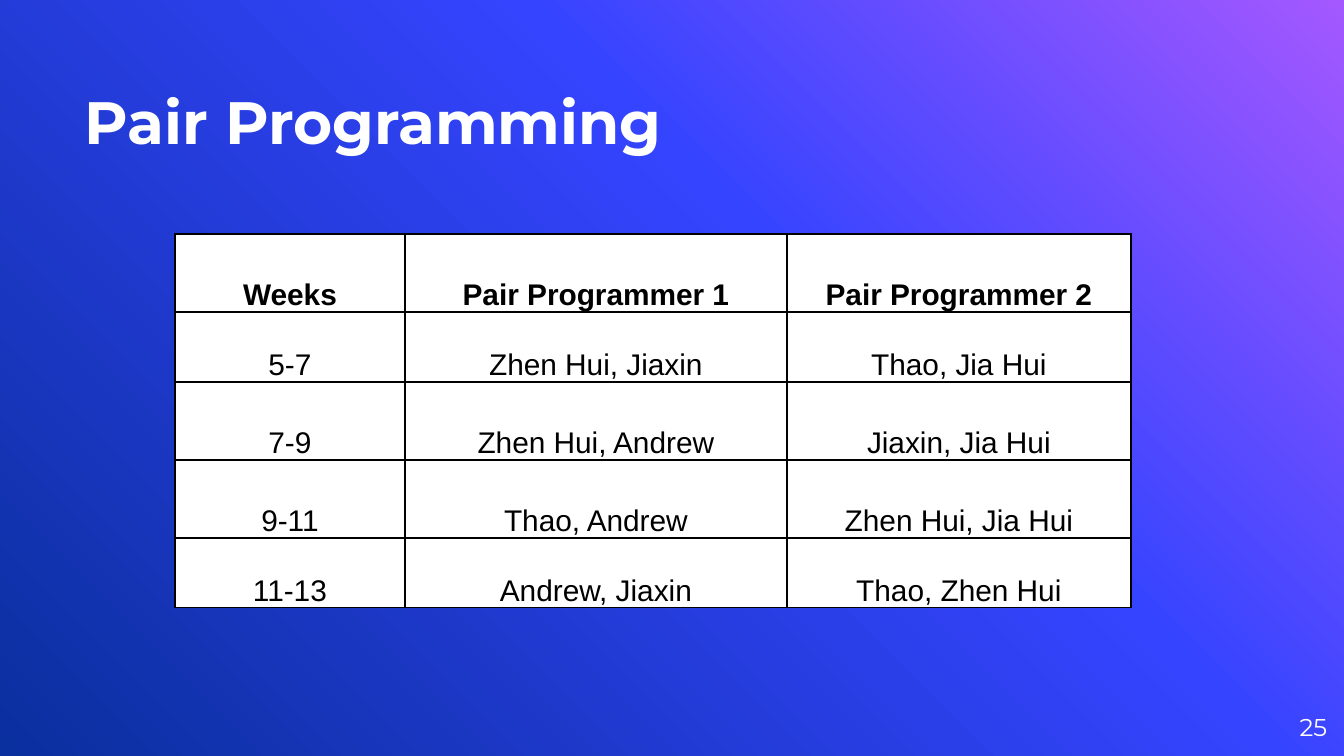
from copy import deepcopy
from dataclasses import dataclass

from lxml import etree
from pptx import Presentation
from pptx import util as u
from pptx.dml import color
from pptx.enum import text
from pptx.oxml import ns

EMU_PER_PX = 914400 / 134.4


def px(length):
    return u.Emu(round(length * EMU_PER_PX))


@dataclass(frozen=True)
class Theme:
    display: str = "Montserrat"
    body: str = "Arial"
    light: str = "FFFFFF"
    dark: str = "000000"
    backdrop: tuple = ((0, "A458FF"), (0.39, "3544FF"), (1, "0A2F9E"))
    backdrop_angle: int = 225
    title_size: int = 32
    table_size: int = 16
    number_size: int = 13
    border: float = 0.75


class Deck:
    def __init__(self, theme, width, height):
        self.theme = theme
        self.file = Presentation()
        self.file.slide_width, self.file.slide_height = px(width), px(height)
        self.slide = self.file.slides.add_slide(self.file.slide_layouts[5])

    def background(self):
        fill = self.slide.background.fill
        fill.gradient()
        fill.gradient_angle = self.theme.backdrop_angle
        stops = self.slide.element.find(".//" + ns.qn("a:gsLst"))
        stops.append(deepcopy(stops[-1]))
        for stop, (position, rgb) in zip(fill.gradient_stops, self.theme.backdrop):
            stop.position = position
            stop.color.rgb = color.RGBColor.from_string(rgb)

    def add_words(self, frame, words, font, size, rgb, bold, align):
        paragraph = frame.paragraphs[0]
        paragraph.alignment = align
        run = paragraph.add_run()
        run.text = words
        run.font.name, run.font.size, run.font.bold = font, u.Pt(size), bold
        run.font.color.rgb = color.RGBColor.from_string(rgb)

    def set_frame(self, frame, anchor):
        frame.word_wrap = True
        frame.auto_size = text.MSO_AUTO_SIZE.NONE
        frame.vertical_anchor = anchor
        frame.margin_left = frame.margin_right = 0
        frame.margin_top = frame.margin_bottom = 0

    def title(self, words, left, top, width, height):
        heading = self.slide.shapes.title
        heading.left, heading.top = px(left), px(top)
        heading.width, heading.height = px(width), px(height)
        t = self.theme
        self.set_frame(heading.text_frame, text.MSO_ANCHOR.BOTTOM)
        self.add_words(heading.text_frame, words, t.display, t.title_size,
                       t.light, True, text.PP_ALIGN.LEFT)

    def page_number(self, words, left, top, width, height):
        number = self.slide.shapes.add_textbox(px(left), px(top), px(width), px(height))
        t = self.theme
        self.set_frame(number.text_frame, text.MSO_ANCHOR.MIDDLE)
        self.add_words(number.text_frame, words, t.display, t.number_size,
                       t.light, False, text.PP_ALIGN.RIGHT)

    def cell_border(self, cell):
        properties = cell._tc.get_or_add_tcPr()
        for side in ("lnL", "lnR", "lnT", "lnB"):
            line = etree.SubElement(properties, ns.qn("a:" + side),
                                    w=str(u.Pt(self.theme.border)))
            fill = etree.SubElement(line, ns.qn("a:solidFill"))
            etree.SubElement(fill, ns.qn("a:srgbClr"), val=self.theme.dark)

    def table(self, rows, left, top, widths, heights):
        t = self.theme
        schedule = self.slide.shapes.add_table(
            len(rows), len(widths), px(left), px(top),
            px(sum(widths)), px(sum(heights))).table
        schedule.first_row = schedule.horz_banding = False
        for column, width in zip(schedule.columns, widths):
            column.width = px(width)
        for r, (row, height) in enumerate(zip(rows, heights)):
            schedule.rows[r].height = px(height)
            for c, words in enumerate(row):
                cell = schedule.cell(r, c)
                self.add_words(cell.text_frame, words, t.body, t.table_size,
                               t.dark, r == 0, text.PP_ALIGN.CENTER)
                cell.vertical_anchor = text.MSO_ANCHOR.BOTTOM
                cell.margin_left = cell.margin_right = px(4)
                cell.margin_top = cell.margin_bottom = 0
                self.cell_border(cell)
                cell.fill.solid()
                cell.fill.fore_color.rgb = color.RGBColor.from_string(t.light)


PAIRINGS = [
    ("Weeks", "Pair Programmer 1", "Pair Programmer 2"),
    ("5-7", "Zhen Hui, Jiaxin", "Thao, Jia Hui"),
    ("7-9", "Zhen Hui, Andrew", "Jiaxin, Jia Hui"),
    ("9-11", "Thao, Andrew", "Zhen Hui, Jia Hui"),
    ("11-13", "Andrew, Jiaxin", "Thao, Zhen Hui"),
]


def main():
    deck = Deck(Theme(), 1344, 756)
    deck.background()
    deck.page_number("25", 1246, 698, 81, 58)
    deck.title("Pair Programming", 85, 31, 942, 126)
    deck.table(PAIRINGS, 175, 234, (230, 382, 344), (78, 70, 78, 78, 70))
    deck.file.save("out.pptx")


if __name__ == "__main__":
    main()
